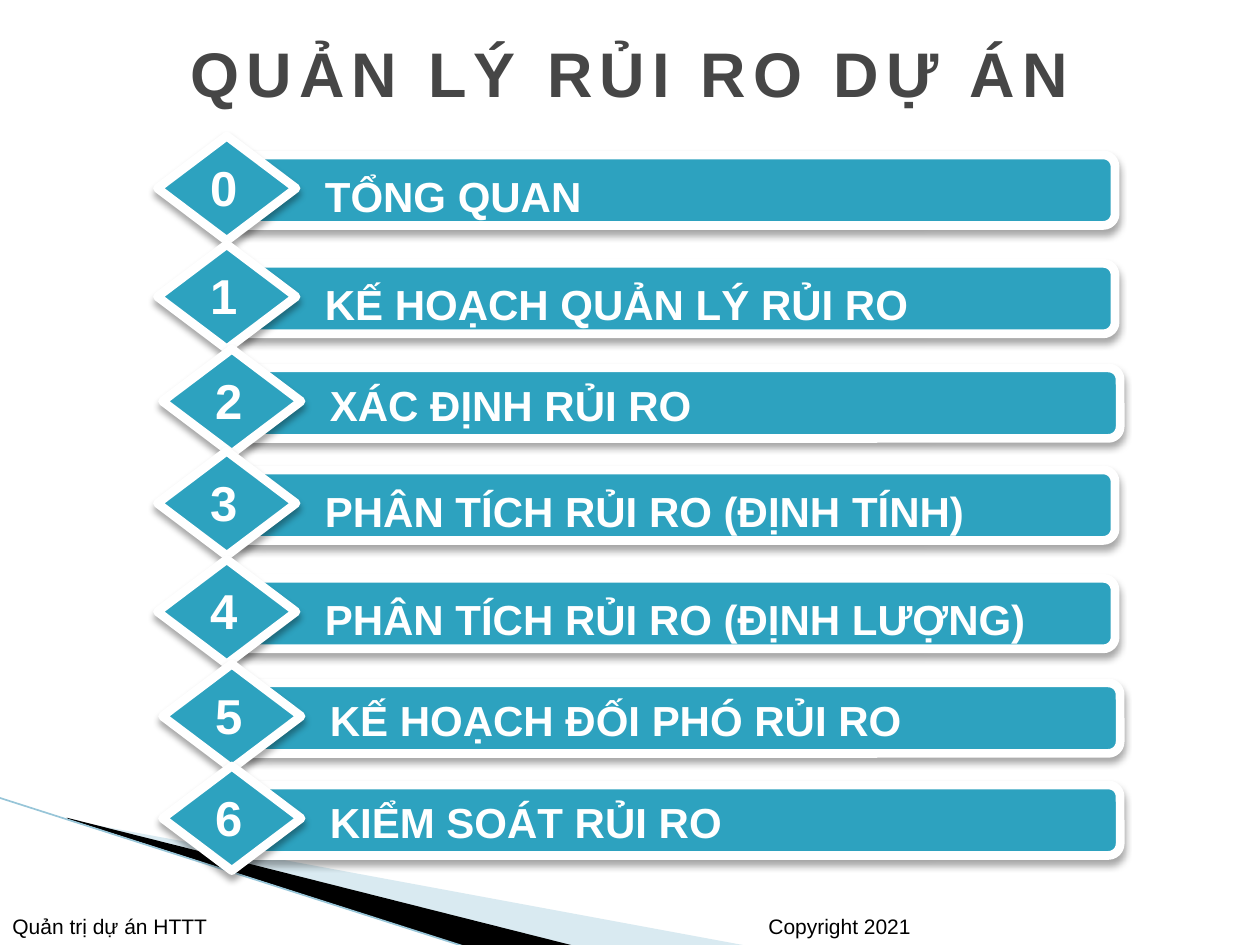
from lxml.etree import SubElement
from pptx import Presentation
from pptx.dml.color import RGBColor
from pptx.enum.shapes import MSO_CONNECTOR, MSO_SHAPE
from pptx.enum.text import MSO_ANCHOR, MSO_AUTO_SIZE, PP_ALIGN
from pptx.oxml.ns import qn
from pptx.util import Inches, Pt

TEAL = RGBColor(0x2D, 0xA2, 0xBF)
PALE_BLUE = RGBColor(0xA0, 0xCB, 0xDC)
LINE_BLUE = RGBColor(0x97, 0xC5, 0xD8)
GREY = RGBColor(0x46, 0x46, 0x46)
WHITE = RGBColor(0xFF, 0xFF, 0xFF)
BLACK = RGBColor(0x00, 0x00, 0x00)

# Agenda rows: bar left, bar top, label drop, label width, label
AGENDA = [
    (1.86, 1.23, 0.07, 6.21, "TỔNG QUAN"),
    (1.86, 2.09, 0.07, 7.36, "KẾ HOẠCH QUẢN LÝ RỦI RO"),
    (1.9, 2.92, 0.04, 6.74, "XÁC ĐỊNH RỦI RO"),
    (1.86, 3.73, 0.07, 7.11, "PHÂN TÍCH RỦI RO (ĐỊNH TÍNH)"),
    (1.86, 4.59, 0.07, 7.36, "PHÂN TÍCH RỦI RO (ĐỊNH LƯỢNG)"),
    (1.9, 5.42, 0.04, 6.74, "KẾ HOẠCH ĐỐI PHÓ RỦI RO"),
    (1.9, 6.23, 0.04, 6.74, "KIỂM SOÁT RỦI RO"),
]


class SlideBuilder:
    font_name = "Arial"

    def __init__(self, slide):
        self.slide = slide

    def text(self, text, left, top, width, height, size, color, bold=False,
             align=PP_ALIGN.LEFT, anchor=MSO_ANCHOR.TOP, wrap=True,
             grow=False, spacing=None, parent=None):
        box = (parent or self.slide).shapes.add_textbox(
            Inches(left), Inches(top), Inches(width), Inches(height))
        frame = box.text_frame
        frame.word_wrap = wrap
        frame.vertical_anchor = anchor
        frame.auto_size = (MSO_AUTO_SIZE.SHAPE_TO_FIT_TEXT if grow
                           else MSO_AUTO_SIZE.NONE)
        paragraph = frame.paragraphs[0]
        paragraph.text = text
        paragraph.alignment = align
        font = paragraph.font
        font.name, font.size, font.bold = self.font_name, Pt(size), bold
        font.color.rgb = color
        if spacing:
            run_style = paragraph.runs[0]._r.get_or_add_rPr()
            run_style.set("spc", str(spacing * 100))

    def wedge(self, points, color, opacity=None):
        start, *rest = [(Inches(x), Inches(y)) for x, y in points]
        builder = self.slide.shapes.build_freeform(*start)
        builder.add_line_segments(rest, close=True)
        wedge = builder.convert_to_shape()
        wedge.shadow.inherit = False
        wedge.fill.solid()
        wedge.fill.fore_color.rgb = color
        wedge.line.fill.background()
        if opacity:
            fill_color = wedge._element.spPr.find(
                f"{qn('a:solidFill')}/{qn('a:srgbClr')}")
            SubElement(fill_color, qn("a:alpha"), val=str(opacity * 1000))

    def line(self, x1, y1, x2, y2, color, width):
        line = self.slide.shapes.add_connector(
            MSO_CONNECTOR.STRAIGHT,
            Inches(x1), Inches(y1), Inches(x2), Inches(y2))
        line.line.color.rgb = color
        line.line.width = Pt(width)
        SubElement(line._element.spPr, qn("a:effectLst"))

    def panel(self, group, kind, left, top, width, height):
        panel = group.shapes.add_shape(
            kind, Inches(left), Inches(top), Inches(width), Inches(height))
        panel.fill.solid()
        panel.fill.fore_color.rgb = TEAL
        panel.line.color.rgb = WHITE
        panel.line.width = Pt(5)
        # Soft shadow straight below
        panel.shadow.inherit = False
        effects = panel._element.spPr.find(qn("a:effectLst"))
        shadow = SubElement(effects, qn("a:outerShdw"), blurRad=str(Pt(4)),
                            dist=str(Pt(3)), dir="5400000", rotWithShape="0")
        shade = SubElement(shadow, qn("a:srgbClr"), val=str(BLACK))
        SubElement(shade, qn("a:alpha"), val="35000")

    def agenda_row(self, number, left, top, label_drop, label_width, label):
        group = self.slide.shapes.add_group_shape()
        self.panel(group, MSO_SHAPE.ROUNDED_RECTANGLE, left, top, 6.99, 0.56)
        self.panel(group, MSO_SHAPE.DIAMOND, left - 0.61, top - 0.15,
                   1.1, 0.83)
        self.text(label, left + 0.62, top + label_drop, label_width, 0.51,
                  24, WHITE, bold=True, grow=True, parent=group)
        self.text(str(number), left - 0.29, top - 0.03, 0.42, 0.57,
                  28, WHITE, bold=True, align=PP_ALIGN.CENTER, wrap=False,
                  grow=True, parent=group)


def main():
    prs = Presentation()
    prs.slide_width, prs.slide_height = Inches(10), Inches(7.5)
    builder = SlideBuilder(prs.slides.add_slide(prs.slide_layouts[6]))

    # Corner decoration
    builder.wedge([(0.55, 6.51), (5.95, 7.51), (4.56, 7.51), (0.55, 6.5)],
                  PALE_BLUE, opacity=40)
    builder.wedge([(0.53, 6.49), (4.57, 7.51), (3.72, 7.52), (0.54, 6.5)],
                  BLACK)
    builder.line(-0.01, 6.33, 3.71, 7.52, LINE_BLUE, 0.95)

    # Title
    builder.text("QUẢN LÝ RỦI RO DỰ ÁN", 0.75, 0.08, 8.5, 0.98, 36, GREY,
                 bold=True, align=PP_ALIGN.CENTER, anchor=MSO_ANCHOR.MIDDLE,
                 spacing=4)

    # Agenda
    for number, row in enumerate(AGENDA):
        builder.agenda_row(number, *row)

    # Footer
    for footer, left, width in (("Copyright 2021", 6, 1.75),
                                ("Quản trị dự án HTTT", 0, 2.58)):
        builder.text(footer, left, 7.1, width, 0.4, 12, BLACK,
                     anchor=MSO_ANCHOR.BOTTOM)

    prs.save("out.pptx")


if __name__ == "__main__":
    main()
